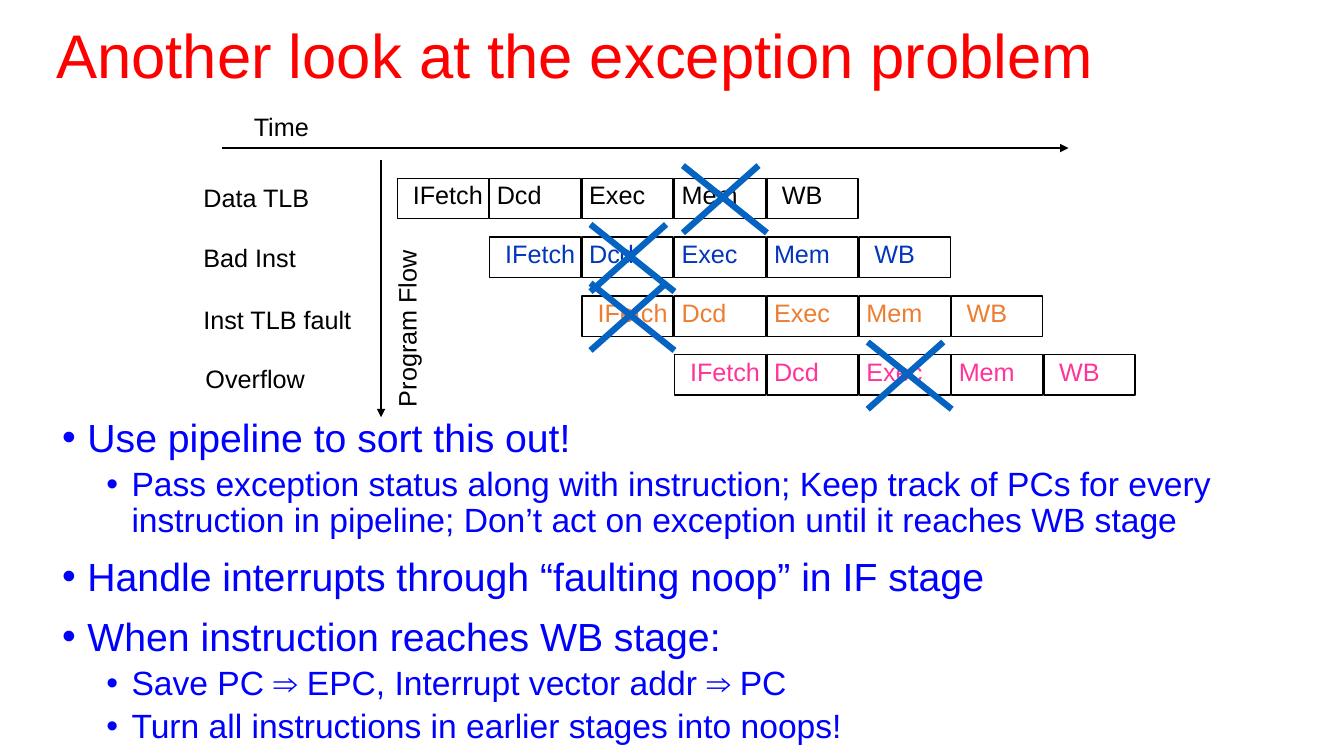
from dataclasses import dataclass

from lxml import etree
from pptx import Presentation
from pptx.dml.color import RGBColor
from pptx.enum.shapes import MSO_CONNECTOR, MSO_SHAPE
from pptx.enum.text import MSO_ANCHOR, MSO_AUTO_SIZE
from pptx.oxml.ns import qn
from pptx.util import Pt

STRAIGHT = MSO_CONNECTOR.STRAIGHT
RECTANGLE = MSO_SHAPE.RECTANGLE
TOP = MSO_ANCHOR.TOP
GROW = MSO_AUTO_SIZE.SHAPE_TO_FIT_TEXT

BLACK = RGBColor(0x00, 0x00, 0x00)
RED = RGBColor(0xFF, 0x00, 0x00)
BLUE = RGBColor(0x00, 0x00, 0xFF)
NAVY = RGBColor(0x02, 0x37, 0xBC)
ORANGE = RGBColor(0xED, 0x7D, 0x31)
PINK = RGBColor(0xFF, 0x33, 0x99)
CROSS_BLUE = RGBColor(0x05, 0x63, 0xC1)

FONT = "Arial"
LABEL_SIZE = 18
LABEL_H = 29
GRID_X, GRID_Y = 283.8, 127.3
PITCH_X, PITCH_Y = 66, 42
CELL_W, CELL_H = 65, 29


@dataclass(frozen=True)
class Stage:
    name: str
    dx: float
    width: float


@dataclass(frozen=True)
class Instruction:
    fault: str
    x: float
    y: float
    width: float
    color: RGBColor
    crossed: int


@dataclass(frozen=True)
class Level:
    size: float
    margin: float
    space: float


@dataclass(frozen=True)
class Bullet:
    text: str
    level: int


STAGES = [
    Stage("IFetch", 4, 65),
    Stage("Dcd", -2, 47),
    Stage("Exec", -2, 55),
    Stage("Mem", -2, 55),
    Stage("WB", 3.6, 44),
]
INSTRUCTIONS = [
    Instruction("Data TLB", 138.2, 126.7, 90.7, BLACK, 3),
    Instruction("Bad Inst", 138.2, 169.2, 80.6, NAVY, 1),
    Instruction("Inst TLB fault", 138.2, 213.8, 120.2, ORANGE, 0),
    Instruction("Overflow", 139.7, 256.3, 85.7, PINK, 2),
]
LEVELS = [Level(28, 18, 12.4), Level(24, 49.5, 5)]
BULLETS = [
    Bullet("Use pipeline to sort this out!", 0),
    Bullet("Pass exception status along with instruction; Keep track of PCs for every "
           "instruction in pipeline; Don’t act on exception until it reaches WB stage", 1),
    Bullet("Handle interrupts through “faulting noop” in IF stage", 0),
    Bullet("When instruction reaches WB stage:", 0),
    Bullet("Save PC ⇒ EPC, Interrupt vector addr ⇒ PC", 1),
    Bullet("Turn all instructions in earlier stages into noops!", 1),
]


def add_label(shapes, text: str, x: float, y: float, w: float, h: float = LABEL_H,
              size: float = LABEL_SIZE, color: RGBColor = BLACK):
    sp = shapes.add_textbox(Pt(x), Pt(y), Pt(w), Pt(h))
    tf = sp.text_frame
    tf.word_wrap = False
    tf.auto_size = GROW
    tf.text = text
    font = tf.paragraphs[0].runs[0].font
    font.name, font.size = FONT, Pt(size)
    font.color.rgb = color
    return sp


def add_line(shapes, x1: float, y1: float, x2: float, y2: float, color: RGBColor = BLACK,
             width: float = 1, arrow: bool = False) -> None:
    line = shapes.add_connector(STRAIGHT, Pt(x1), Pt(y1), Pt(x2), Pt(y2))
    line.line.color.rgb = color
    line.line.width = Pt(width)
    if arrow:
        etree.SubElement(line.line._get_or_add_ln(), qn("a:tailEnd"), type="triangle")
    etree.SubElement(line._element.spPr, qn("a:effectLst"))


def add_title(shapes) -> None:
    sp = add_label(shapes, "Another look at the exception problem", 35.3, 15.8, 758.9, 51.8,
                   44, RED)
    tf = sp.text_frame
    tf.margin_left = tf.margin_right = Pt(5)
    tf.margin_top = tf.margin_bottom = Pt(2.2)
    tf.paragraphs[0].line_spacing = 0.9


def add_bullets(shapes) -> None:
    sp = shapes.add_textbox(Pt(37.4), Pt(295.2), Pt(892.8), Pt(226.8))
    tf = sp.text_frame
    tf.word_wrap = True
    tf.vertical_anchor = TOP
    for i, bullet in enumerate(BULLETS):
        level = LEVELS[bullet.level]
        p = tf.paragraphs[0] if i == 0 else tf.add_paragraph()
        p.text = bullet.text
        p.level = bullet.level
        p.line_spacing = 0.9
        if i:
            p.space_before = Pt(level.space)
        pPr = p._p.get_or_add_pPr()
        pPr.set("marL", str(Pt(level.margin)))
        pPr.set("indent", str(Pt(-18)))
        etree.SubElement(pPr, qn("a:buFont"), typeface=FONT)
        etree.SubElement(pPr, qn("a:buChar"), char="•")
        r = p.runs[0]
        r.font.name, r.font.size = FONT, Pt(level.size)
        r.font.color.rgb = BLUE


def add_pipeline(shapes, row: int, instruction: Instruction) -> None:
    group = shapes.add_group_shape().shapes
    y = GRID_Y + row * PITCH_Y
    for i, stage in enumerate(STAGES):
        x = GRID_X + (row + i) * PITCH_X
        sp = group.add_shape(RECTANGLE, Pt(x), Pt(y), Pt(CELL_W), Pt(CELL_H))
        sp.shadow.inherit = False
        sp.fill.background()
        sp.line.color.rgb = BLACK
        sp.line.width = Pt(1)
        add_label(group, stage.name, x + stage.dx, y - 2.7, stage.width,
                  color=instruction.color)


def add_cross(shapes, row: int, stage: int) -> None:
    group = shapes.add_group_shape().shapes
    left = GRID_X + (row + stage) * PITCH_X + 6
    top = GRID_Y + row * PITCH_Y - 9
    bottom = top + 48
    add_line(group, left, top, left + 60, bottom, CROSS_BLUE, 4.5)
    add_line(group, left + 54, top, left, bottom, CROSS_BLUE, 4.5)


def main() -> None:
    prs = Presentation()
    prs.slide_width, prs.slide_height = Pt(960), Pt(540)
    s = prs.slides.add_slide(prs.slide_layouts[6])
    shapes = s.shapes

    add_title(shapes)
    add_bullets(shapes)
    add_line(shapes, 272.2, 114.5, 272.2, 298, arrow=True)
    add_label(shapes, "Program Flow", 226.8, 219.6, 127.4).rotation = 270
    add_line(shapes, 158.4, 105.8, 763.2, 105.8, arrow=True)
    add_label(shapes, "Time", 174.2, 76.3, 54)

    for row, instruction in enumerate(INSTRUCTIONS):
        add_pipeline(shapes, row, instruction)
    for row, instruction in enumerate(INSTRUCTIONS):
        add_label(shapes, instruction.fault, instruction.x, instruction.y, instruction.width)
        add_cross(shapes, row, instruction.crossed)

    prs.save("out.pptx")


if __name__ == "__main__":
    main()
